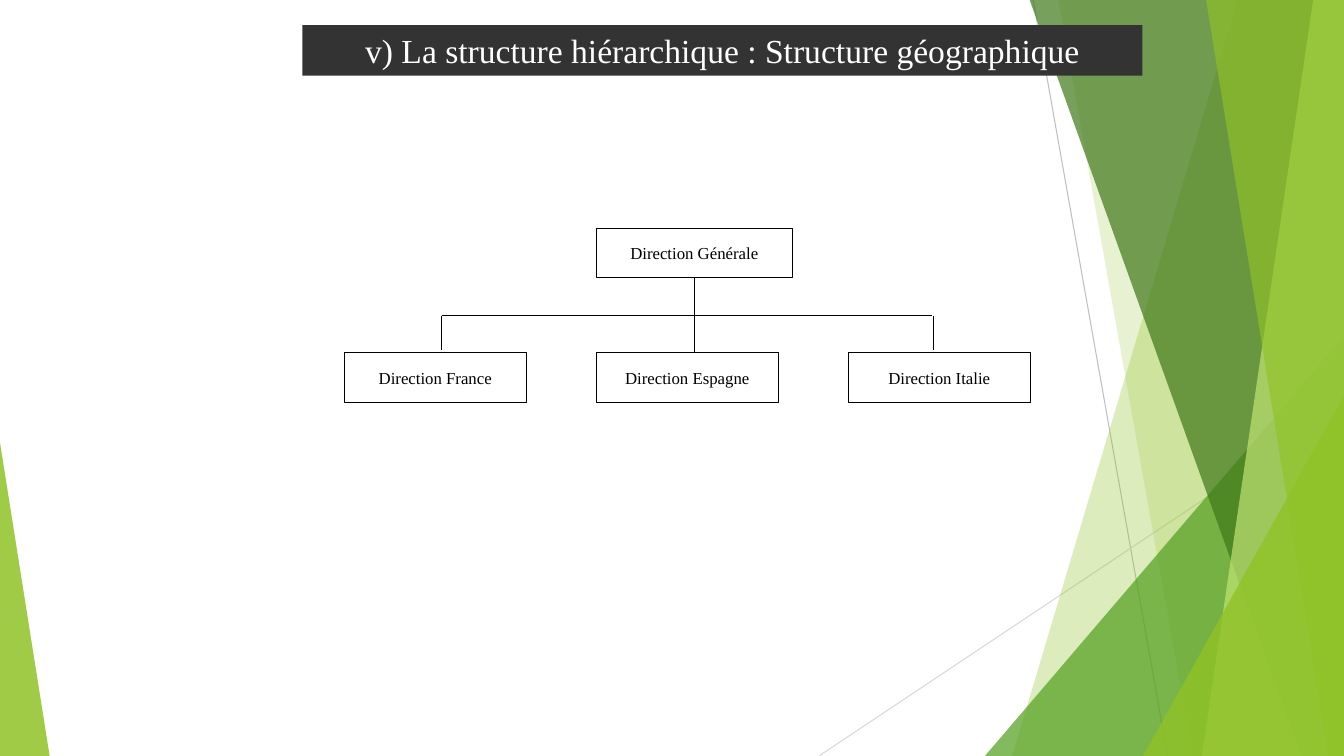
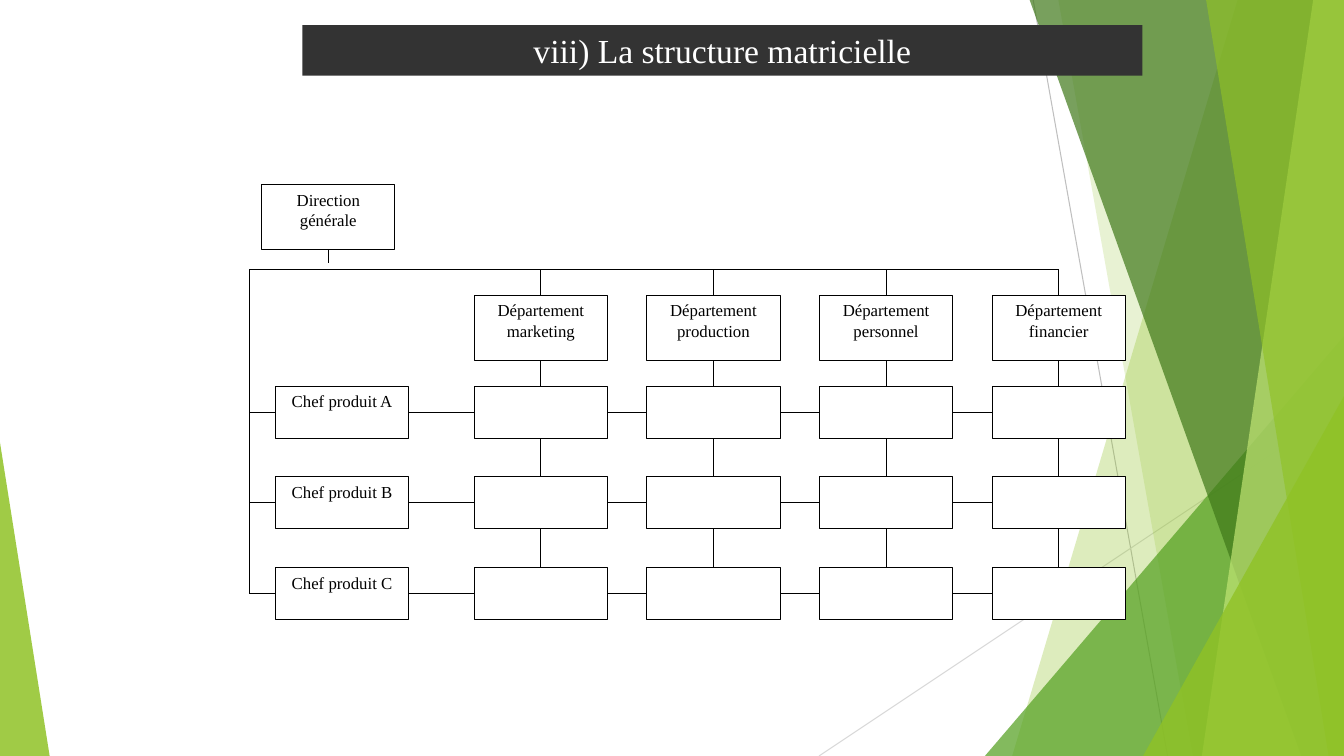
"""Build two organisation-chart slides on a shared green faceted background."""
from lxml import etree
from pptx import Presentation
from pptx import util as u
from pptx.dml.color import RGBColor
from pptx.enum import shapes, text
from pptx.oxml.ns import qn

THEME = {
    "font": "Times New Roman",
    "title_size": 24,
    "box_size": 12,
    "line_width": 0.75,
    "ink": "000000",
    "paper": "FFFFFF",
    "band": "333333",
    "rays": ("BFBFBF", "D9D9D9"),
    "lime": "90C226",
    "green": "54A021",
    "forest": "3F7819",
    "pale": "C0E474",
    "frame": {
        "word_wrap": True,
        "margin_left": u.Pt(7.2),
        "margin_right": u.Pt(7.2),
        "margin_top": u.Pt(3.6),
        "margin_bottom": u.Pt(3.6),
    },
}
WIDTH, HEIGHT = 960, 540
TOP, LEFT, BOTTOM, RIGHT = range(4)
MIDDLE = text.MSO_ANCHOR.MIDDLE


def add_box(slide, bounds, lines=(), anchor=text.MSO_ANCHOR.TOP, fill="paper", ink="ink", size="box_size", outlined=True):
    """Add a rectangle with one centred paragraph per line."""
    shape = slide.shapes.add_shape(shapes.MSO_SHAPE.RECTANGLE, *map(u.Pt, bounds))
    shape.shadow.inherit = False
    shape.fill.solid()
    shape.fill.fore_color.rgb = RGBColor.from_string(THEME[fill])
    if outlined:
        shape.line.color.rgb = RGBColor.from_string(THEME["ink"])
        shape.line.width = u.Pt(THEME["line_width"])
    else:
        shape.line.fill.background()
    frame = shape.text_frame
    for name, value in {**THEME["frame"], "vertical_anchor": anchor}.items():
        setattr(frame, name, value)
    for index, line in enumerate(lines):
        paragraph = frame.add_paragraph() if index else frame.paragraphs[0]
        paragraph.alignment = text.PP_ALIGN.CENTER
        run = paragraph.add_run()
        run.text = line
        font = {"name": THEME["font"], "size": u.Pt(THEME[size])}
        for name, value in font.items():
            setattr(run.font, name, value)
        run.font.color.rgb = RGBColor.from_string(THEME[ink])
    return shape


def add_line(slide, start, end, colour=THEME["ink"]):
    """Draw a line whose ends are each a point (x, y) or a join (box, side)."""
    joined = [hasattr(place[0], "shape_id") for place in (start, end)]
    points = [(0, 0) if join else place for join, place in zip(joined, (start, end))]
    connector = slide.shapes.add_connector(
        shapes.MSO_CONNECTOR.STRAIGHT, *(u.Pt(value) for point in points for value in point))
    if joined[0]:
        connector.begin_connect(*start)
    if joined[1]:
        connector.end_connect(*end)
    connector.line.color.rgb = RGBColor.from_string(colour)
    connector.line.width = u.Pt(THEME["line_width"])
    etree.SubElement(connector.element.spPr, qn("a:effectLst"))


presentation = Presentation()
presentation.slide_width, presentation.slide_height = u.Pt(WIDTH), u.Pt(HEIGHT)
layout = presentation.slide_layouts[6]
titles = ("v) La structure hiérarchique : Structure géographique", "viii) La structure matricielle")
geographic, matrix = [presentation.slides.add_slide(layout) for title in titles]

ray_ends = [((738, 0), (834, HEIGHT)), ((WIDTH, 290), (585, HEIGHT))]
for (start, end), colour in zip(ray_ends, THEME["rays"]):
    add_line(geographic, start, end, colour)

facets = [
    ("band", (884, 723), "lime", 30),
    ("band", (756, 852), "lime", 20),
    ("triangle", (703.5, 240, 256.5, 300, 1), "green", 72),
    ("band", (735.5, 929.5), "forest", 70),
    ("band", (938, 858.5), "pale", 70),
    ("band", (861.5, 949), "lime", 65),
    ("triangle", (816.5, 283, 143.5, 257, 1), "lime", 80),
    ("triangle", (0, 316, 35.5, 224, 0), "lime", 85),
]
for kind, geometry, colour, opacity in facets:
    if kind == "band":
        top_x, bottom_x = geometry
        builder = geographic.shapes.build_freeform(u.Pt(top_x), 0)
        corners = [(WIDTH, 0), (WIDTH, HEIGHT), (bottom_x, HEIGHT)]
        builder.add_line_segments([(u.Pt(x), u.Pt(y)) for x, y in corners], close=True)
        shape = builder.convert_to_shape()
    else:
        *bounds, apex = geometry
        shape = geographic.shapes.add_shape(shapes.MSO_SHAPE.ISOSCELES_TRIANGLE, *map(u.Pt, bounds))
        shape.adjustments[0] = apex
    shape.shadow.inherit = False
    shape.line.fill.background()
    shape.fill.solid()
    shape.fill.fore_color.rgb = RGBColor.from_string(THEME[colour])
    tint = shape.element.spPr.find(qn("a:solidFill"))[0]
    etree.SubElement(tint, qn("a:alpha")).set("val", str(opacity * 1000))

for shape in list(geographic.shapes):
    layout.shapes.element.append(shape.element)

for slide, title in zip((geographic, matrix), titles):
    add_box(slide, (216, 18, 600, 36), [title], MIDDLE, "band", "paper", "title_size", outlined=False)

head = add_box(geographic, (426, 163, 140, 35.2), ["Direction Générale"], MIDDLE)
for index, country in enumerate(("France", "Espagne", "Italie")):
    add_box(geographic, (246 + 180 * index, 252, 130, 35.5), [f"Direction {country}"], MIDDLE)
bus_y = 225.5
add_line(geographic, (head, BOTTOM), (496, bus_y))
add_line(geographic, (316, bus_y), (665.5, bus_y))
for x, bottom in ((315.5, 250), (496, 252), (666.5, 250)):
    add_line(geographic, (x, bus_y), (x, bottom))

box_width, tall, short = 95.2, 46.4, 37.2
trunk_x, bus_y = 178, 192.2
column_x = [338.8 + 123.3 * index for index in range(4)]
row_y = [275.8 + 64.8 * index for index in range(3)]
director = add_box(matrix, (187, 131.6, box_width, tall), ["Direction générale"])
departments = [
    add_box(matrix, (x, 210.8, box_width, tall), ["Département", name])
    for x, name in zip(column_x, ("marketing", "production", "personnel", "financier"))
]
managers = [
    add_box(matrix, (196.8, y, box_width, short), [f"Chef produit {letter}"])
    for y, letter in zip(row_y, "ABC")
]
cells = [[add_box(matrix, (x, y, box_width, short)) for x in column_x] for y in row_y]

add_line(matrix, (director, BOTTOM), (187 + box_width / 2, 187.8))
add_line(matrix, (trunk_x, bus_y), (column_x[-1] + box_width / 2, bus_y))
add_line(matrix, (trunk_x, bus_y), (trunk_x, row_y[-1] + short / 2))
for y, manager, row in zip(row_y, managers, cells):
    add_line(matrix, (trunk_x, y + short / 2), (manager, LEFT))
    for left_box, right_box in zip([manager, *row], row):
        add_line(matrix, (left_box, RIGHT), (right_box, LEFT))
for x, department, *column in zip(column_x, departments, *cells):
    add_line(matrix, (x + box_width / 2, bus_y), (department, TOP))
    for upper_box, lower_box in zip([department, *column], column):
        add_line(matrix, (upper_box, BOTTOM), (lower_box, TOP))

presentation.save("out.pptx")
